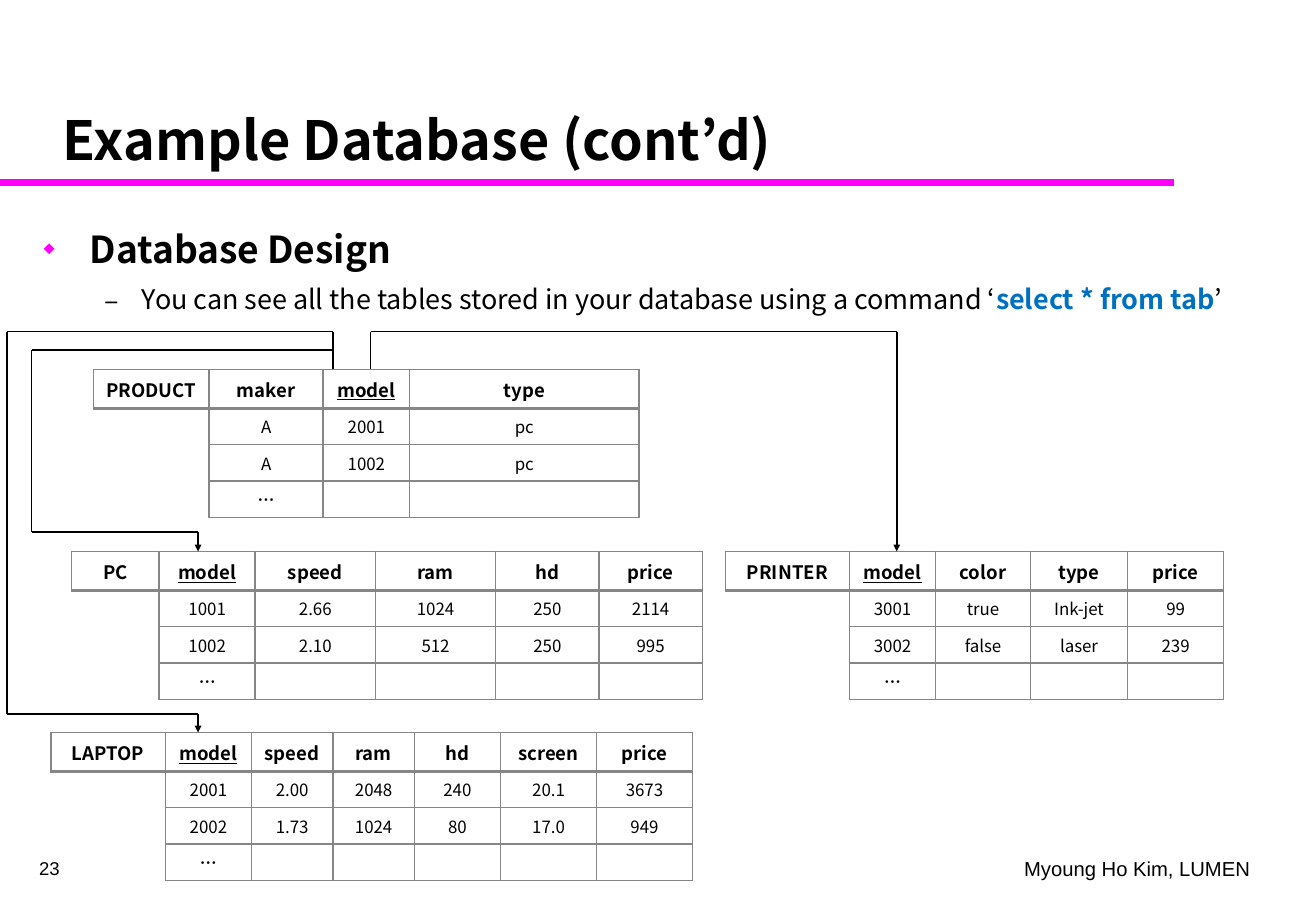
import itertools

import pptx
import pptx.dml.color
import pptx.enum.shapes
import pptx.enum.text
import pptx.oxml.ns
import pptx.util
from lxml import etree

Inches = pptx.util.Inches
Pt = pptx.util.Pt
qn = pptx.oxml.ns.qn
RGBColor = pptx.dml.color.RGBColor
ALIGN = pptx.enum.text.PP_ALIGN
ANCHOR = pptx.enum.text.MSO_ANCHOR

BLACK = RGBColor(0x00, 0x00, 0x00)
MAGENTA = RGBColor(0xFF, 0x00, 0xFF)
BLUE = RGBColor(0x00, 0x70, 0xC0)
GRAY = RGBColor(0x86, 0x86, 0x86)

SANS = "Noto Sans CJK KR"
HEADING = {"name": SANS, "size": Pt(22), "bold": True}
DETAIL = {"name": SANS, "size": Pt(16), "bold": False}
HEADER = {"name": SANS, "size": Pt(11), "bold": True}
VALUE = {"name": SANS, "size": Pt(10), "bold": False}

HEADER_HEIGHT, ROW_HEIGHT = 0.32, 0.3
CELL_MARGINS = {"margin_left": Inches(0.05), "margin_right": Inches(0.05)}

TABLES = [
    (0.77, 3.04, [0.95, 0.94, 0.71, 1.89],
     ["PRODUCT", "maker", "model", "type"],
     [["A", "2001", "pc"], ["A", "1002", "pc"]]),
    (0.59, 4.54, [0.72, 0.79, 0.99, 0.99, 0.85, 0.85],
     ["PC", "model", "speed", "ram", "hd", "price"],
     [["1001", "2.66", "1024", "250", "2114"],
      ["1002", "2.10", "512", "250", "995"]]),
    (0.42, 6.03, [0.94, 0.71, 0.67, 0.67, 0.71, 0.79, 0.79],
     ["LAPTOP", "model", "speed", "ram", "hd", "screen", "price"],
     [["2001", "2.00", "2048", "240", "20.1", "3673"],
      ["2002", "1.73", "1024", "80", "17.0", "949"]]),
    (5.97, 4.54, [1.02, 0.71, 0.78, 0.8, 0.79],
     ["PRINTER", "model", "color", "type", "price"],
     [["3001", "true", "Ink-jet", "99"],
      ["3002", "false", "laser", "239"]]),
]

MODEL_LINKS = [
    [(3.05, 3.04), (3.05, 2.73), (7.38, 2.73), (7.38, 4.54)],
    [(2.74, 2.88), (0.26, 2.88), (0.26, 4.38), (1.63, 4.38), (1.63, 4.54)],
    [(2.74, 3.04), (2.74, 2.73), (0.06, 2.73), (0.06, 5.88), (1.63, 5.88),
     (1.63, 6.03)],
]


def set_attributes(target, values):
    for name, value in values.items():
        setattr(target, name, value)


def add_run(p, text, style, color=BLACK):
    r = p.add_run()
    r.text = text
    set_attributes(r.font, style)
    r.font.color.rgb = color


def add_text_box(s, box, anchor=ANCHOR.TOP):
    tf = s.shapes.add_textbox(*map(Inches, box)).text_frame
    tf.word_wrap = True
    tf.vertical_anchor = anchor
    return tf


def add_label(s, box, text, style, align=ALIGN.LEFT, anchor=ANCHOR.TOP):
    p = add_text_box(s, box, anchor).paragraphs[0]
    p.alignment = align
    add_run(p, text, style)


def format_bullet(p, char, color, left, hanging, space, percent=100):
    p.line_spacing = 1.2
    p.space_before = Pt(space)
    pPr = p._p.get_or_add_pPr()
    pPr.set("marL", str(Inches(left)))
    pPr.set("indent", str(-Inches(hanging)))
    etree.SubElement(etree.SubElement(pPr, qn("a:buClr")),
                     qn("a:srgbClr"), val=str(color))
    etree.SubElement(pPr, qn("a:buSzPct"), val=str(percent * 1000))
    etree.SubElement(pPr, qn("a:buFont"), typeface=SANS)
    etree.SubElement(pPr, qn("a:buChar"), char=char)


def add_body(s):
    tf = add_text_box(s, (0.26, 1.74, 10.35, 1))
    p = tf.paragraphs[0]
    format_bullet(p, "◆", MAGENTA, 0.38, 0.38, 4.4, 30)
    add_run(p, "Database Design", HEADING)
    p = tf.add_paragraph()
    format_bullet(p, "–", BLACK, 0.81, 0.31, 3.2)
    add_run(p, "You can see all the tables stored in your database "
               "using a command ‘", DETAIL)
    add_run(p, "select * from tab", {**DETAIL, "bold": True}, BLUE)
    add_run(p, "’", DETAIL)


def add_line(s, start, end, color=BLACK, width=1, arrow=False):
    c = s.shapes.add_connector(pptx.enum.shapes.MSO_CONNECTOR.STRAIGHT,
                               *map(Inches, start + end))
    c.line.color.rgb = color
    c.line.width = Pt(width)
    if arrow:
        etree.SubElement(c.line._get_or_add_ln(), qn("a:tailEnd"),
                         type="triangle", w="sm", len="sm")
    etree.SubElement(c._element.spPr, qn("a:effectLst"))


def add_link(s, points):
    for start, end in itertools.pairwise(points):
        add_line(s, start, end, arrow=end == points[-1])


def set_borders(cell, widths):
    tcPr = cell._tc.get_or_add_tcPr()
    for side, width in zip("LRTB", widths):
        ln = etree.SubElement(tcPr, qn("a:ln" + side), w=str(Pt(width)))
        if width:
            fill = etree.SubElement(ln, qn("a:solidFill"))
            etree.SubElement(fill, qn("a:srgbClr"), val=str(GRAY))
        else:
            etree.SubElement(ln, qn("a:noFill"))


def fill_cell(cell, text, style, widths):
    set_borders(cell, widths)
    set_attributes(cell, CELL_MARGINS)
    cell.fill.background()
    p = cell.text_frame.paragraphs[0]
    p.alignment = ALIGN.CENTER
    if text:
        add_run(p, text, style)
    else:
        etree.SubElement(p._p, qn("a:endParaRPr"), sz="1000")


def add_relation(s, left, top, widths, header, records):
    more = ["…"] + [""] * (len(header) - 2)
    rows = [header] + [[""] + row for row in records + [more]]
    heights = [HEADER_HEIGHT] + [ROW_HEIGHT] * (len(rows) - 1)
    table = s.shapes.add_table(
        len(rows), len(header), Inches(left), Inches(top),
        Inches(sum(widths)), Inches(sum(heights))).table
    table.first_row = table.horz_banding = False
    for column, width in zip(table.columns, widths):
        column.width = Inches(width)
    for row, height in zip(table.rows, heights):
        row.height = Inches(height)
    for i, row in enumerate(rows):
        for j, text in enumerate(row):
            if i == 0:
                style = {**HEADER, "underline": text == "model"}
                borders = (1, 1, 1, 2)
            else:
                style = {**VALUE, "bold": text == "…"}
                borders = (1, 1, 2 if i == 1 else 1, 1)
                if j == 0:
                    borders = (0, 1, 2 if i == 1 else 0, 0)
            fill_cell(table.cell(i, j), text, style, borders)
    table.cell(1, 0).merge(table.cell(len(rows) - 1, 0))


def main():
    prs = pptx.Presentation()
    prs.slide_width, prs.slide_height = Inches(10.83), Inches(7.5)
    s = prs.slides.add_slide(prs.slide_layouts[6])
    add_line(s, (0, 1.5), (9.66, 1.5), MAGENTA, 4)
    add_label(s, (8.33, 7, 2.08, 0.3), "Myoung Ho Kim, LUMEN",
              {"name": "Arial", "size": Pt(12)})
    add_label(s, (0.42, 0.25, 9.2, 1.21), "Example Database (cont’d)",
              {"name": SANS, "size": Pt(32), "bold": True},
              anchor=ANCHOR.BOTTOM)
    add_body(s)
    add_label(s, (0.09, 6.9, 0.5, 0.5), "23",
              {"name": "Arial", "size": Pt(11)}, ALIGN.RIGHT, ANCHOR.MIDDLE)
    for relation in TABLES:
        add_relation(s, *relation)
    for points in MODEL_LINKS:
        add_link(s, points)
    prs.save("out.pptx")


main()
